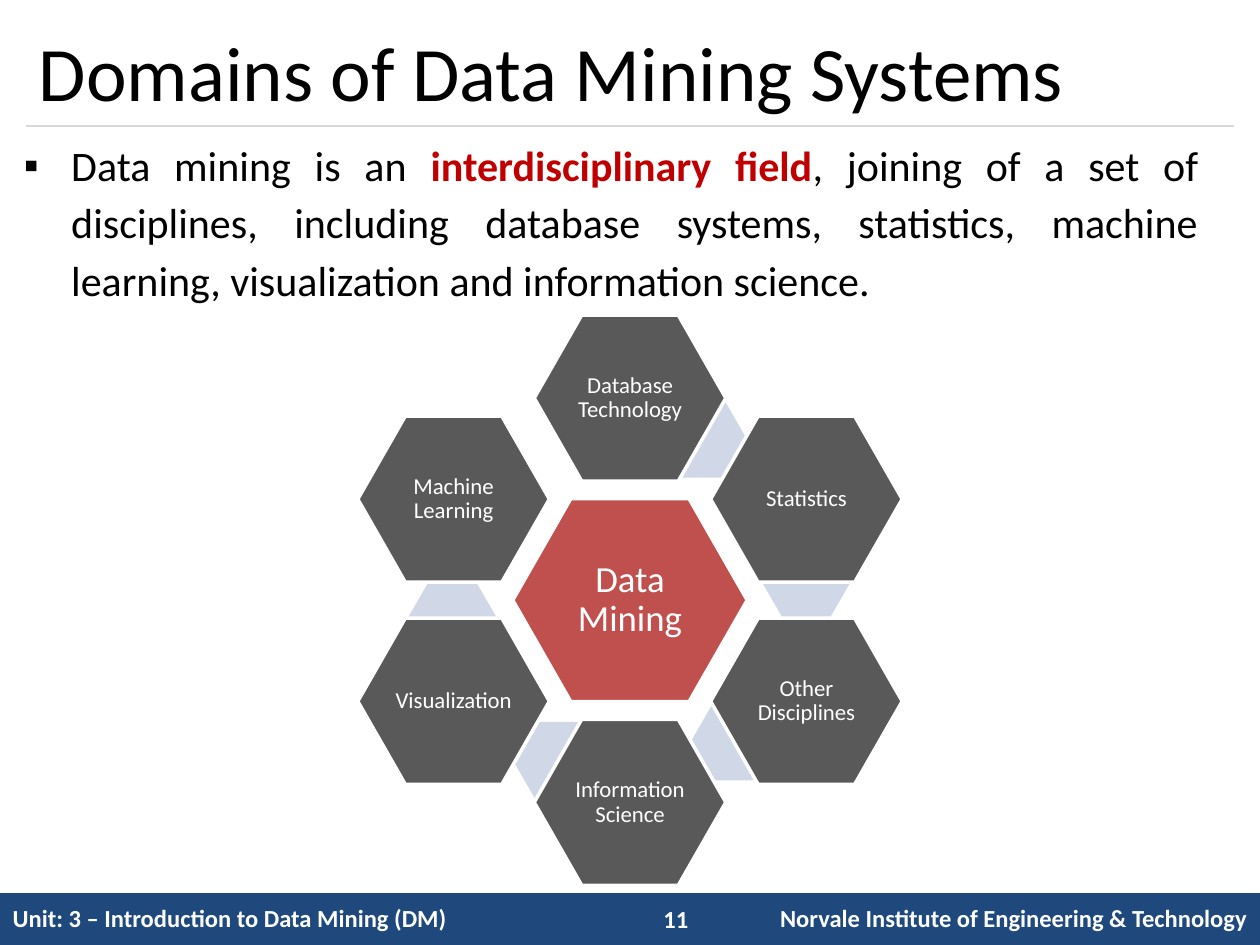
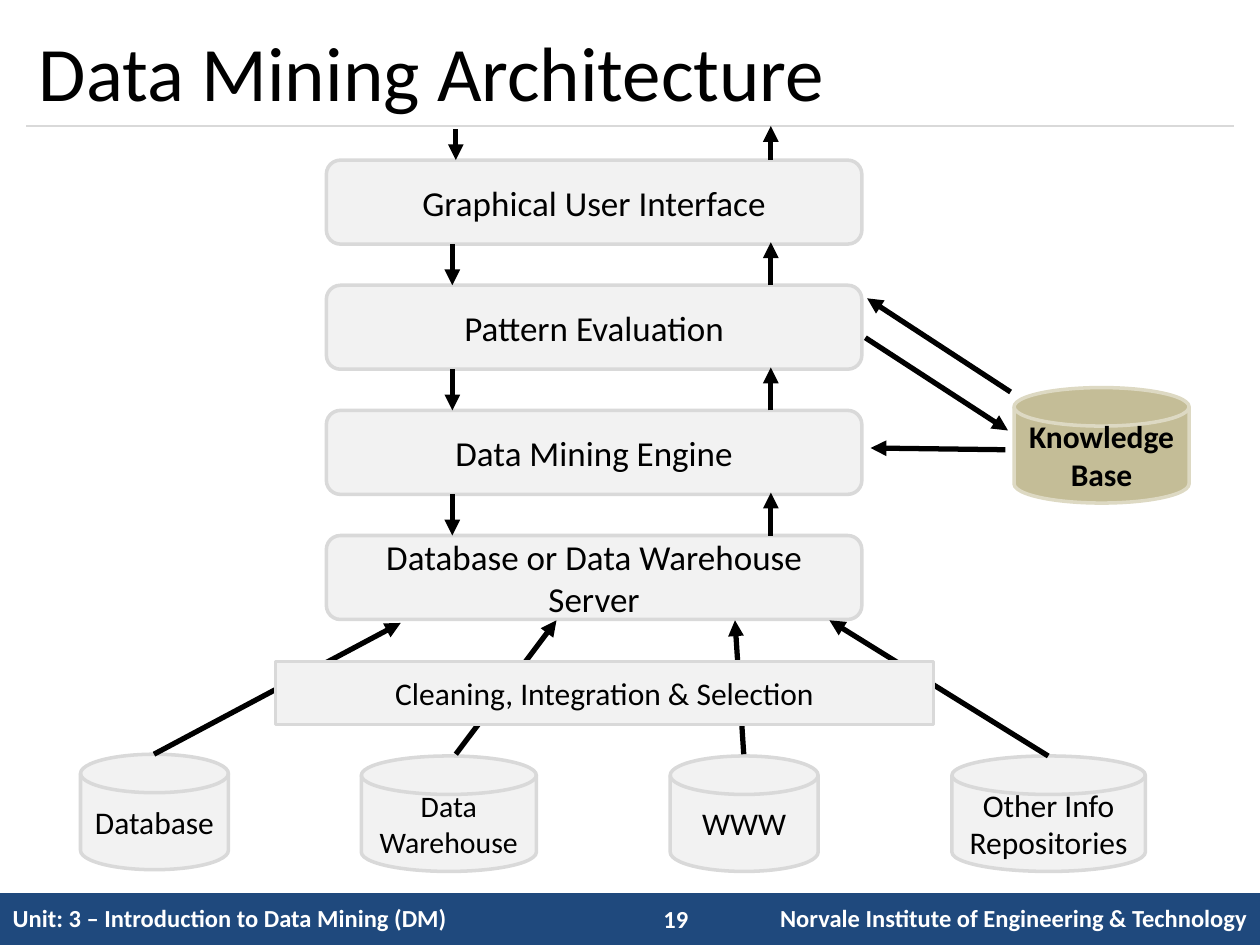
from math import cos, radians, sin

from pptx import Presentation
from pptx.dml.color import RGBColor
from pptx.enum import shapes, text
from pptx.oxml import ns, xmlchemy
from pptx.util import Pt

FONT = "Calibri"
BLACK, WHITE, NAVY = "000000", "FFFFFF", "1F497D"
PALE, GREY, DARK = "F2F2F2", "D9D9D9", "595959"
NO_TABLE_STYLE = "{2D5ABB26-0587-4C30-8999-92F81FD0307C}"
PRESET, ALIGN = shapes.MSO_SHAPE, text.PP_ALIGN


def add_run(paragraph, words, size, color=BLACK, bold=False):
    run = paragraph.add_run()
    run.text = words
    run.font.name, run.font.size, run.font.bold = FONT, Pt(size), bold
    run.font.color.rgb = RGBColor.from_string(color)


def add_block(slide, preset, frame, fill, line=None, words="", size=18, color=BLACK, bold=False):
    shape = slide.shapes.add_shape(preset, *map(Pt, frame))
    shape.shadow.inherit = False
    shape.fill.solid()
    shape.fill.fore_color.rgb = RGBColor.from_string(fill)
    if line:
        shape.line.color.rgb = RGBColor.from_string(line)
        shape.line.width = Pt(2)
    else:
        shape.line.fill.background()
    if words:
        shape.text_frame.word_wrap = True
        shape.text_frame.vertical_anchor = text.MSO_ANCHOR.MIDDLE
        paragraph = shape.text_frame.paragraphs[0]
        paragraph.alignment = ALIGN.CENTER
        add_run(paragraph, words, size, color, bold)
    return shape


presentation = Presentation()
presentation.slide_width, presentation.slide_height = Pt(720), Pt(540)

# Shared frame: title, rule and footer
slides = []
for layout, heading, number in [(1, "Domains of Data Mining Systems", "11"),
                                (5, "Data Mining Architecture", "19")]:
    slide = presentation.slides.add_slide(presentation.slide_layouts[layout])
    slides.append(slide)

    title = slide.shapes.title
    title.left, title.top, title.width, title.height = Pt(15), Pt(8.5), Pt(690), Pt(63.5)
    title.text_frame.auto_size = text.MSO_AUTO_SIZE.NONE
    title.text_frame.vertical_anchor = text.MSO_ANCHOR.MIDDLE
    title.text_frame.paragraphs[0].alignment = ALIGN.LEFT
    add_run(title.text_frame.paragraphs[0], heading, 44)

    rule = slide.shapes.add_connector(shapes.MSO_CONNECTOR.STRAIGHT, Pt(15), Pt(72), Pt(705), Pt(72))
    rule.line.color.rgb = RGBColor.from_string(GREY)
    rule.line.width = Pt(0.75)
    rule._element.spPr.append(xmlchemy.OxmlElement("a:effectLst"))

    table = slide.shapes.add_table(1, 3, 0, Pt(510), Pt(720), Pt(30)).table
    table.first_row = table.horz_banding = False
    table._tbl.tblPr.find(ns.qn("a:tableStyleId")).text = NO_TABLE_STYLE
    footer = [(366, "Unit: 3 – Introduction to Data Mining (DM)", ALIGN.LEFT),
              (48, "", ALIGN.LEFT),
              (306, "Norvale Institute of Engineering & Technology", ALIGN.RIGHT)]
    for column, (width, words, alignment) in enumerate(footer):
        table.columns[column].width = Pt(width)
        cell = table.cell(0, column)
        cell.fill.solid()
        cell.fill.fore_color.rgb = RGBColor.from_string(NAVY)
        cell.vertical_anchor = text.MSO_ANCHOR.MIDDLE
        paragraph = cell.text_frame.paragraphs[0]
        paragraph.alignment = alignment
        if words:
            add_run(paragraph, words, 14, WHITE, True)

    page = add_block(slide, PRESET.RECTANGLE, (372, 513, 42, 24), NAVY, None, number, 14, WHITE, True)
    page.text_frame.paragraphs[0].alignment = ALIGN.LEFT

domains, architecture = slides

# Domains: introduction
body = domains.placeholders[1]
body.left, body.top, body.width, body.height = Pt(2), Pt(72), Pt(690), Pt(420)
body.text_frame.auto_size = text.MSO_AUTO_SIZE.NONE
paragraph = body.text_frame.paragraphs[0]
paragraph.alignment = ALIGN.JUSTIFY
paragraph.line_spacing = 1.14
paragraph.space_before = Pt(4.8)
properties = paragraph._p.get_or_add_pPr()
properties.set("marL", str(Pt(31.5)))
properties.set("indent", str(Pt(-27)))
for tag, key, value in [("a:buFont", "typeface", "Arial"), ("a:buChar", "char", "▪")]:
    bullet = xmlchemy.OxmlElement(tag)
    bullet.set(key, value)
    properties.append(bullet)
add_run(paragraph, "Data mining is an ", 24)
add_run(paragraph, "interdisciplinary field", 24, "C00000", True)
add_run(paragraph, ", joining of a set of disciplines, including database systems, statistics, "
        "machine learning, visualization and information science.", 24)

# Domains: hexagon ring, each link lying under the next hexagon
center_x, center_y = 360, 343
hexagons = [add_block(domains, PRESET.HEXAGON, (293, 285, 134, 116), "C0504D", WHITE,
                      "Data Mining", 21, WHITE)]
ring = [("Database Technology", (376.5, 229.5)), ("Statistics", (435.5, 311)),
        ("Other Disciplines", (394.5, 402.5)), ("Information Science", (293, 412.5)),
        ("Visualization", (233.25, 331)), ("Machine Learning", None)]
for index, (domain, link_corner) in enumerate(ring):
    if link_corner:
        link = add_block(domains, PRESET.HEXAGON, (*link_corner, 50.5, 43.5), "D0D8E8")
        link.adjustments[0] = 0.289
    angle = radians(60 * index - 90)
    left = center_x + 116.4 * cos(angle) - 54.75
    top = center_y + 115.5 * sin(angle) - 47.5
    hexagons.append(add_block(domains, PRESET.HEXAGON, (left, top, 109.5, 95), DARK, WHITE,
                              domain, 13, WHITE))
for hexagon in hexagons:
    hexagon.adjustments[0] = 0.286
    frame = hexagon.text_frame
    frame.margin_left = frame.margin_right = frame.margin_top = frame.margin_bottom = Pt(1.5)
    frame.paragraphs[0].line_spacing = 0.9

# Architecture: data stores and knowledge base
for store, size, left, top, width in [("Database", 18, 46, 431, 84.5),
                                      ("Data Warehouse", 17, 206.5, 432, 100),
                                      ("WWW", 18, 383, 432, 84.5),
                                      ("Other Info Repositories", 18, 544, 432, 110.5)]:
    add_block(architecture, PRESET.FLOWCHART_MAGNETIC_DISK, (left, top, width, 66), PALE, GREY, store, size)
add_block(architecture, PRESET.FLOWCHART_MAGNETIC_DISK, (579.5, 221.5, 100, 66), "C4BD97", "DDD9C3",
          "Knowledge Base", 18, BLACK, True)

# Architecture: layers, with a request arrow down and a result arrow up above each
arrows = [(88, 431, 229, 356), (260.5, 431, 318, 354.5),
          (425, 431, 420, 354.5), (599, 432, 474, 354.5),
          (577.5, 224, 495.5, 170.5), (494.5, 193, 576, 246), (574.5, 257, 497.5, 256)]
layers = ["Graphical User Interface", "Pattern Evaluation", "Data Mining Engine",
          "Database or Data Warehouse Server"]
for index, layer in enumerate(layers):
    top = 91.5 + 71.5 * index
    add_block(architecture, PRESET.ROUNDED_RECTANGLE, (186.5, top, 306, 48), PALE, GREY, layer, 20)
    gap_top = top - 23.5 if index else 74
    arrows.append((258.5 if index else 260.5, gap_top, 258.5 if index else 260.5, top))
    arrows.append((440.5, top, 440.5, top - 24.5 if index else 72))

for start_x, start_y, end_x, end_y in arrows:
    arrow = architecture.shapes.add_connector(shapes.MSO_CONNECTOR.STRAIGHT,
                                              *map(Pt, (start_x, start_y, end_x, end_y)))
    arrow.line.color.rgb = RGBColor.from_string(BLACK)
    arrow.line.width = Pt(3)
    arrowhead = xmlchemy.OxmlElement("a:tailEnd")
    arrowhead.set("type", "triangle")
    arrow.line._get_or_add_ln().append(arrowhead)
    arrow._element.spPr.append(xmlchemy.OxmlElement("a:effectLst"))

# Architecture: preparation step, in front of the store arrows
add_block(architecture, PRESET.RECTANGLE, (157.5, 378, 376, 36), PALE, GREY,
          "Cleaning, Integration & Selection", 18)

presentation.save("out.pptx")
